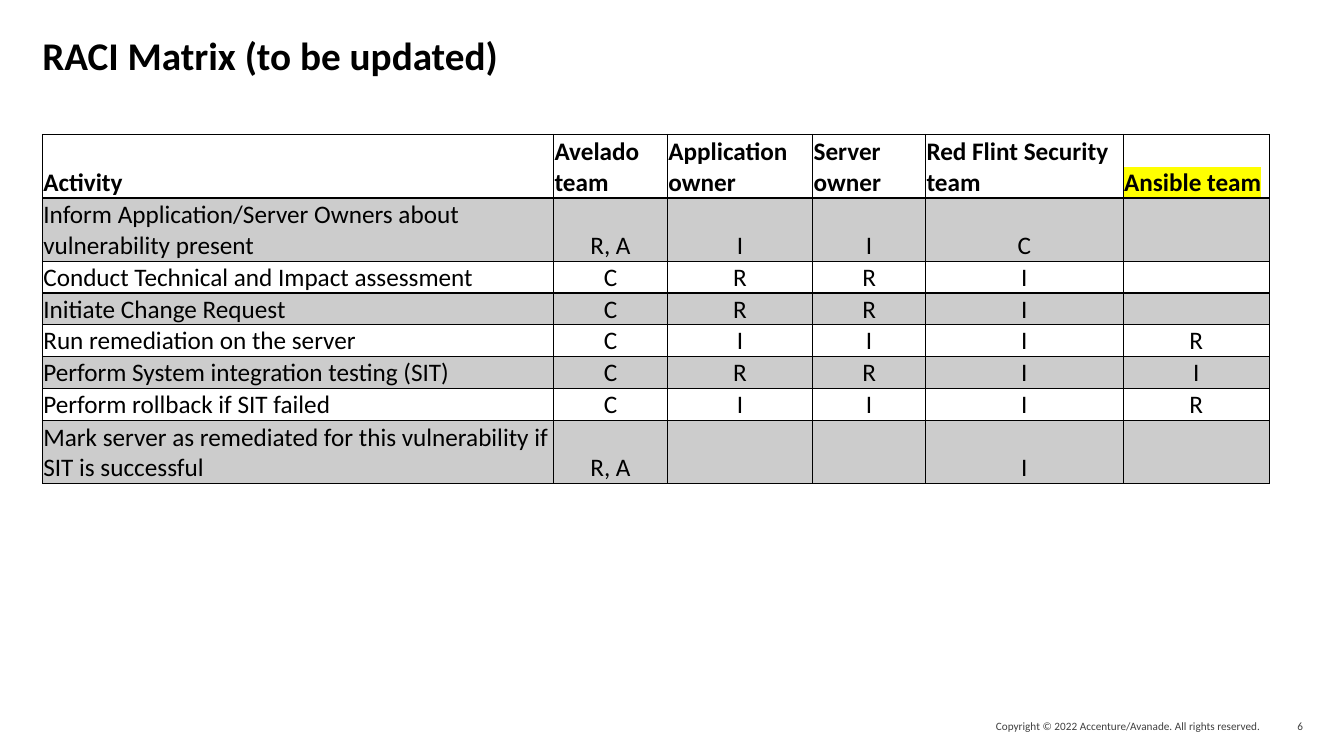
from lxml.etree import SubElement
from pptx import Presentation
from pptx.dml.color import RGBColor
from pptx.enum.text import MSO_ANCHOR, MSO_AUTO_SIZE, PP_ALIGN
from pptx.oxml.ns import qn
from pptx.util import Inches, Pt

WIDE, HIGH = Inches(13.33), Inches(7.5)
FACE = "Calibri"
COLORS = {"ink": "000000", "band": "CCCCCC", "mark": "FFFF00", "note": "404040"}
HEADS = ["Activity", "Avelado team", "Application owner", "Server owner",
         "Red Flint Security team", "Ansible team"]
TASKS = [
    ["Inform Application/Server Owners about vulnerability present", "R, A", "I", "I", "C", ""],
    ["Conduct Technical and Impact assessment", "C", "R", "R", "I", ""],
    ["Initiate Change Request", "C", "R", "R", "I", ""],
    ["Run remediation on the server", "C", "I", "I", "I", "R"],
    ["Perform System integration testing (SIT)", "C", "R", "R", "I", "I"],
    ["Perform rollback if SIT failed", "C", "I", "I", "I", "R"],
    ["Mark server as remediated for this vulnerability if SIT is successful",
     "R, A", "", "", "I", ""],
]
COLS = [5.07, 1.13, 1.44, 1.12, 1.96, 1.45]
LINES = [2, 2, 1, 1, 1, 1, 1, 2]


def area(left, top, width, height):
    """Turn shares of the slide into a box."""
    return [int(WIDE * left), int(HIGH * top), int(WIDE * width), int(HIGH * height)]


def style(para, size, color, bold=False, align=PP_ALIGN.LEFT):
    """Set the look of one paragraph."""
    para.alignment = align
    font = para.font
    font.name, font.size, font.bold = FACE, Pt(size), bold
    font.color.rgb = RGBColor.from_string(COLORS[color])


def clear(frame, anchor):
    """Take the insets off a text frame and anchor it."""
    frame.margin_left = frame.margin_right = frame.margin_top = frame.margin_bottom = 0
    frame.word_wrap, frame.auto_size = True, MSO_AUTO_SIZE.NONE
    frame.vertical_anchor = anchor


def add_title(slide, box, text):
    """Place the title placeholder in the box."""
    title = slide.shapes.title
    title.left, title.top, title.width, title.height = box
    clear(title.text_frame, MSO_ANCHOR.TOP)
    title.text_frame.text = text
    para = title.text_frame.paragraphs[0]
    para.line_spacing = 0.8
    style(para, 28, "ink", bold=True)


def add_note(slide, box, text):
    """Write small right-aligned footer text in the box."""
    frame = slide.shapes.add_textbox(*box).text_frame
    clear(frame, MSO_ANCHOR.MIDDLE)
    frame.text = text
    style(frame.paragraphs[0], 8, "note", align=PP_ALIGN.RIGHT)


def add_rule(cell, side, width):
    """Draw one border of a cell."""
    line = SubElement(cell._tc.get_or_add_tcPr(), qn(f"a:ln{side}"), w=str(Pt(width)))
    fill = SubElement(line, qn("a:solidFill"))
    SubElement(fill, qn("a:srgbClr"), val=COLORS["ink"])


def add_mark(run):
    """Highlight a run."""
    mark = SubElement(run._r.get_or_add_rPr(), qn("a:highlight"))
    SubElement(mark, qn("a:srgbClr"), val=COLORS["mark"])


def fill_cell(cell, text, row, col):
    """Write and format one cell of the matrix."""
    cell.margin_left = cell.margin_right = cell.margin_top = Inches(0.01)
    cell.margin_bottom = 0
    cell.vertical_anchor = MSO_ANCHOR.BOTTOM
    for side in "LRTB":
        thick = (side == "B" and row == 0) or (side == "T" and row == 1)
        add_rule(cell, side, 2 if thick else 1)
    if row % 2:
        cell.fill.solid()
        cell.fill.fore_color.rgb = RGBColor.from_string(COLORS["band"])
    else:
        cell.fill.background()
    cell.text = text
    align = PP_ALIGN.CENTER if row and col else PP_ALIGN.LEFT
    style(cell.text_frame.paragraphs[0], 18, "ink", bold=row == 0, align=align)


def add_matrix(slide, box):
    """Fill the box with the table of tasks and roles."""
    rows = [HEADS] + TASKS
    table = slide.shapes.add_table(len(rows), len(COLS), *box).table
    table.first_row = table.horz_banding = False
    for col, share in enumerate(COLS):
        table.columns[col].width = int(box[2] * share / sum(COLS))
    for row, texts in enumerate(rows):
        table.rows[row].height = int(box[3] * LINES[row] / sum(LINES))
        for col, text in enumerate(texts):
            fill_cell(table.cell(row, col), text, row, col)
    add_mark(table.cell(0, len(COLS) - 1).text_frame.paragraphs[0].runs[0])


def main():
    """Build the slide and save it."""
    deck = Presentation()
    deck.slide_width, deck.slide_height = WIDE, HIGH
    slide = deck.slides.add_slide(deck.slide_layouts[5])
    add_title(slide, area(0.0315, 0.053, 0.938, 0.144), "RACI Matrix (to be updated)")
    add_matrix(slide, area(0.0315, 0.178, 0.913, 0.461))
    add_note(slide, area(0.683, 0.945, 0.255, 0.03),
             "Copyright © 2022 Accenture/Avanade. All rights reserved.")
    add_note(slide, area(0.938, 0.945, 0.0315, 0.03), "6")
    deck.save("out.pptx")


if __name__ == "__main__":
    main()
